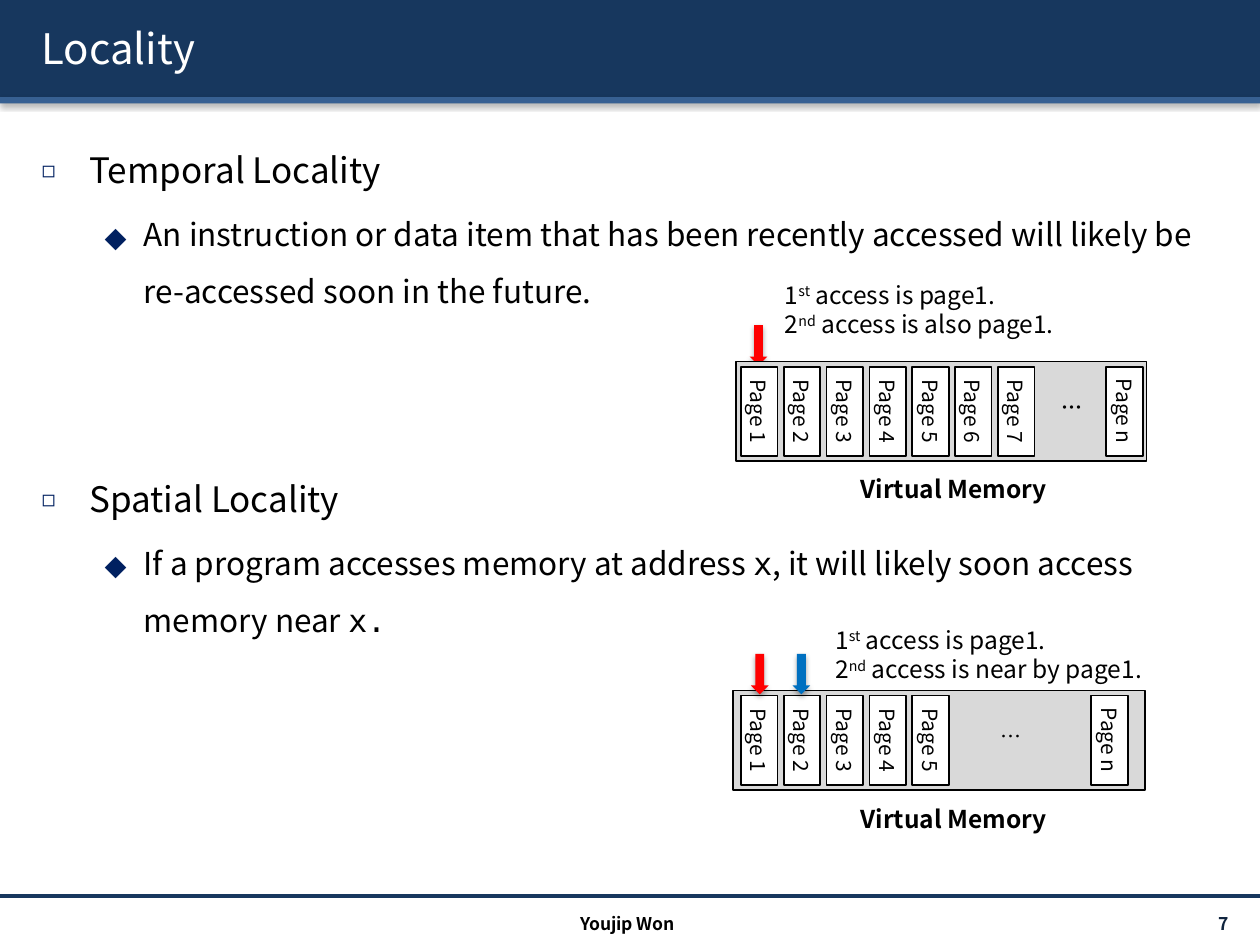
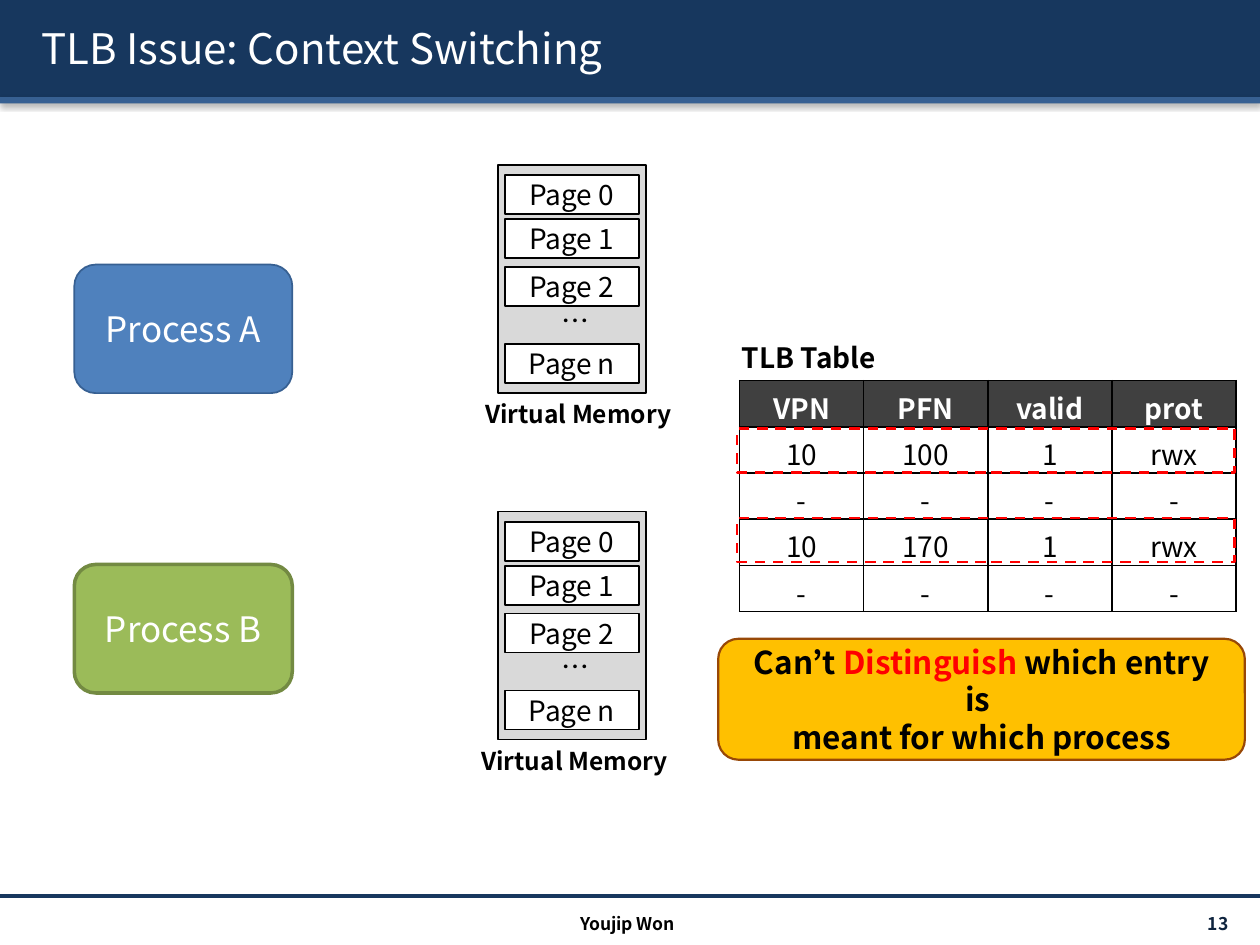
from lxml import etree
from pptx import Presentation
from pptx.dml.color import RGBColor
from pptx.enum.dml import MSO_LINE
from pptx.enum.shapes import MSO_CONNECTOR, MSO_SHAPE as SHAPE
from pptx.enum.text import MSO_ANCHOR as ANCHOR, MSO_AUTO_SIZE as AUTO, PP_ALIGN as ALIGN
from pptx.oxml import parse_xml
from pptx.oxml.ns import nsdecls, qn
from pptx.util import Inches, Pt

FONT, MONO = "Noto Sans CJK KR", "DejaVu Sans Mono"
BLACK = RGBColor(0x00, 0x00, 0x00)
WHITE = RGBColor(0xFF, 0xFF, 0xFF)
NAVY = RGBColor(0x17, 0x37, 0x5E)
STEEL = RGBColor(0x37, 0x60, 0x92)
INK = RGBColor(0x0F, 0x24, 0x3E)
GRAY = RGBColor(0xD9, 0xD9, 0xD9)
CHARCOAL = RGBColor(0x40, 0x40, 0x40)
RED = RGBColor(0xFF, 0x00, 0x00)
BLUE = RGBColor(0x00, 0x70, 0xC0)
PROCESS_BLUE = RGBColor(0x4F, 0x81, 0xBD)
PROCESS_GREEN = RGBColor(0x9B, 0xBB, 0x59)
GREEN_EDGE = RGBColor(0x73, 0x8A, 0x42)
AMBER = RGBColor(0xFF, 0xC0, 0x00)
AMBER_EDGE = RGBColor(0x98, 0x48, 0x07)
SHADOW = (
    f'<a:outerShdw {nsdecls("a")} blurRad="{{}}" dist="{{}}" dir="{{}}" rotWithShape="0">'
    '<a:srgbClr val="000000"><a:alpha val="{}"/></a:srgbClr></a:outerShdw>'
)


def write(tf, lines, size, color=BLACK, bold=False, align=ALIGN.LEFT):
    """Fill a text frame; a line is a list of runs, a run is a string or (string, options)."""
    tf.word_wrap = True
    for i, line in enumerate(lines):
        p = tf.paragraphs[0] if i == 0 else tf.add_paragraph()
        p.alignment = align
        for run in line:
            text, options = (run, {}) if isinstance(run, str) else run
            r = p.add_run()
            r.text = text
            r.font.size = Pt(size)
            r.font.bold = bold
            r.font.color.rgb = options.get("color", color)
            r.font.name = options.get("font", FONT)
            if options.get("sup"):
                r.font._element.set("baseline", "30000")


def box(s, kind, at, fill=None, line=None, width=1, shadow=False):
    """Add a shape, or a text box when kind is None, at (left, top, width, height)."""
    at = [Inches(v) for v in at]
    if kind is None:
        return s.shapes.add_textbox(*at)
    sp = s.shapes.add_shape(kind, *at)
    sp.shadow.inherit = False
    if shadow:
        effects = sp.element.spPr.find(qn("a:effectLst"))
        effects.append(parse_xml(SHADOW.format(39370, 20320, 5400000, 38000)))
    if fill is None:
        sp.fill.background()
    else:
        sp.fill.solid()
        sp.fill.fore_color.rgb = fill
    if line is None:
        sp.line.fill.background()
    else:
        sp.line.color.rgb = line
        sp.line.width = Pt(width)
    return sp


prs = Presentation()
prs.slide_width, prs.slide_height = Inches(10), Inches(7.5)
locality = prs.slides.add_slide(prs.slide_layouts[1])
switching = prs.slides.add_slide(prs.slide_layouts[5])

# Bands and footer rule live on the master
band = box(locality, SHAPE.RECTANGLE, (0, 0, 10, 0.77), NAVY, shadow=True)
stripe = box(locality, SHAPE.RECTANGLE, (0, 0.77, 10, 0.05), STEEL, shadow=True)
rule = locality.shapes.add_connector(
    MSO_CONNECTOR.STRAIGHT, 0, Inches(7.11), Inches(10), Inches(7.11))
rule.line.color.rgb = NAVY
rule.line.width = Pt(2)
etree.SubElement(rule.element.spPr, qn("a:effectLst"))
for i, sp in enumerate((band, stripe, rule)):
    sp.element.xpath("./*/p:cNvPr")[0].set("id", str(100 + i))
    prs.slide_master.shapes.element.insert(2 + i, sp.element)

# Title and footer of each slide
for s, title, number in (
    (locality, "Locality", 7),
    (switching, "TLB Issue: Context Switching", 13),
):
    sp = s.shapes.title
    sp.left, sp.top, sp.width, sp.height = [Inches(v) for v in (0.23, 0.06, 9.61, 0.64)]
    tf = sp.text_frame
    tf.auto_size = AUTO.NONE
    tf.vertical_anchor = ANCHOR.MIDDLE
    write(tf, [[title]], 24, WHITE)
    effects = etree.Element(qn("a:effectLst"))
    effects.append(parse_xml(SHADOW.format(38100, 38100, 2700000, 100000)))
    tf.paragraphs[0].runs[0].font._element.insert(1, effects)

    tf = box(s, None, (8.71, 7.21, 1.17, 0.24)).text_frame
    tf.vertical_anchor = ANCHOR.MIDDLE
    write(tf, [[f"{number} "]], 10, INK, True, ALIGN.RIGHT)
    tf = box(s, None, (3.32, 7.2, 3.32, 0.24)).text_frame
    write(tf, [["Youjip Won"]], 10, BLACK, True, ALIGN.CENTER)

# Locality: list
s = locality
body = s.placeholders[1]
body.left, body.top, body.width, body.height = [Inches(v) for v in (0.23, 0.96, 9.61, 6.02)]
tf = body.text_frame
tf.auto_size = AUTO.NONE
code = {"font": MONO}
write(tf, [
    ["Temporal Locality"],
    ["An instruction or data item that has been recently accessed will likely be "
     "re-accessed soon in the future."],
    ["Spatial Locality"],
    ["If a program accesses memory at address ", ("x", code),
     ", it will likely soon access memory near ", ("x.", code)],
], 20)
for p, level, before in zip(tf.paragraphs, (0, 1, 0, 1), (0, 3.6, 83.5, 3.6)):
    p.level = level
    p.line_spacing = 1.5
    p.space_before = Pt(before)
    pPr = p._p.get_or_add_pPr()
    margin, indent, mark, percent = ((0.38, -0.38, "◻", 65), (0.81, -0.31, "⬥", 100))[level]
    pPr.set("marL", str(Inches(margin)))
    pPr.set("indent", str(Inches(indent)))
    color = etree.SubElement(pPr, qn("a:buClr"))
    etree.SubElement(color, qn("a:srgbClr"), val="002060")
    etree.SubElement(pPr, qn("a:buSzPct"), val=str(percent * 1000))
    etree.SubElement(pPr, qn("a:buFont"), typeface=FONT)
    etree.SubElement(pPr, qn("a:buChar"), char=mark)
    for r in p.runs:
        r.font.size = Pt((20, 18)[level])

# Locality: two rows of pages; the first arrow tip sits behind its frame
box(s, SHAPE.DOWN_ARROW, (5.95, 2.58, 0.14, 0.32), RED, shadow=True)
for frame, page_count, last_left, dots, note, note_at, label_top in (
    ((5.84, 2.87, 3.26, 0.79), 7, 8.57, (8.15, ALIGN.CENTER, True),
     " access is also page1.", (6.13, 2.17, 2.38, 0.57), 3.71),
    ((5.82, 5.48, 3.27, 0.79), 5, 8.45, (7.84, ALIGN.LEFT, False),
     " access is near by page1.", (6.53, 4.91, 2.7, 0.57), 6.33),
):
    box(s, SHAPE.RECTANGLE, frame, GRAY, BLACK)
    page_top = frame[1] + 0.25
    pages = [(5.67 + 0.34 * i, f"Page {i + 1}") for i in range(page_count)]
    for left, name in pages + [(last_left, "Page n")]:
        page = box(s, SHAPE.RECTANGLE, (left, page_top, 0.71, 0.29), WHITE, BLACK)
        page.rotation = 90
        tf = page.text_frame
        tf.margin_left = tf.margin_right = 0
        write(tf, [[name]], 12, align=ALIGN.CENTER)
    dots_left, align, bold = dots
    tf = box(s, None, (dots_left, page_top - 0.04, 0.71, 0.3)).text_frame
    write(tf, [["…"]], 12, bold=bold, align=align)
    sup = {"sup": True}
    write(box(s, None, note_at).text_frame,
          [["1", ("st", sup), " access is page1."], ["2", ("nd", sup), note]], 14)
    write(box(s, None, (6.73, label_top, 1.69, 0.34)).text_frame,
          [["Virtual Memory"]], 14, bold=True)
for left, color in ((5.96, RED), (6.29, BLUE)):
    box(s, SHAPE.DOWN_ARROW, (left, 5.19, 0.14, 0.32), color, shadow=True)

# Context switching: processes and their memories
s = switching
for name, top, fill, edge, width, memory_top, label_left in (
    ("Process A", 2.1, PROCESS_BLUE, STEEL, 1, 1.31, 3.63),
    ("Process B", 4.48, PROCESS_GREEN, GREEN_EDGE, 2, 4.06, 3.6),
):
    sp = box(s, SHAPE.ROUNDED_RECTANGLE, (0.59, top, 1.73, 1.02), fill, edge, width)
    write(sp.text_frame, [[name]], 20, WHITE, align=ALIGN.CENTER)
    box(s, SHAPE.RECTANGLE, (3.95, memory_top, 1.18, 1.81), GRAY, BLACK)
    for page, offset in (("0", 0.08), ("1", 0.43), ("2", 0.81), ("n", 1.42)):
        sp = box(s, SHAPE.RECTANGLE, (4.01, memory_top + offset, 1.06, 0.31), WHITE, BLACK)
        tf = sp.text_frame
        tf.margin_left = tf.margin_right = 0
        write(tf, [[f"Page {page}"]], 16, align=ALIGN.CENTER)
    write(box(s, None, (4.36, memory_top + 1.05, 1.16, 0.37)).text_frame, [["…"]], 16)
    write(box(s, None, (label_left, memory_top + 1.81, 1.92, 0.34)).text_frame,
          [["Virtual Memory"]], 14, bold=True, align=ALIGN.CENTER)

# Context switching: TLB table
sp = box(s, SHAPE.RECTANGLE, (5.79, 2.65, 1.54, 0.37), WHITE)
sp.text_frame.vertical_anchor = ANCHOR.TOP
write(sp.text_frame, [["TLB Table"]], 16, bold=True)
rows = [
    ("VPN", "PFN", "valid", "prot"),
    ("10", "100", "1", "rwx"),
    ("-",) * 4,
    ("10", "170", "1", "rwx"),
    ("-",) * 4,
]
table = s.shapes.add_table(
    len(rows), 4, Inches(5.87), Inches(3.02), Inches(3.94), Inches(1.83)).table
table.horz_banding = False
for i, row in enumerate(rows):
    header = i == 0
    for j, value in enumerate(row):
        cell = table.cell(i, j)
        cell.fill.solid()
        cell.fill.fore_color.rgb = CHARCOAL if header else WHITE
        write(cell.text_frame, [[value]], 16, WHITE if header else BLACK, header, ALIGN.CENTER)
        tcPr = cell._tc.get_or_add_tcPr()
        for k, side in enumerate("LRTB"):
            tcPr.insert(k, parse_xml(
                f'<a:ln{side} {nsdecls("a")} w="12700"><a:solidFill>'
                f'<a:srgbClr val="{BLACK}"/></a:solidFill></a:ln{side}>'))
for top in (3.4, 4.11):
    sp = box(s, SHAPE.RECTANGLE, (5.85, top, 3.95, 0.35), line=RED, width=1.5)
    sp.line.dash_style = MSO_LINE.DASH

# Context switching: conclusion
sp = box(s, SHAPE.ROUNDED_RECTANGLE, (5.7, 5.07, 4.18, 0.96), AMBER, AMBER_EDGE, 1.25)
tf = sp.text_frame
tf.margin_left = tf.margin_right = Inches(0.12)
write(tf, [
    ["Can’t ", ("Distinguish ", {"color": RED}), "which entry is "],
    ["meant for which process"],
], 18, bold=True, align=ALIGN.CENTER)

prs.save("out.pptx")
